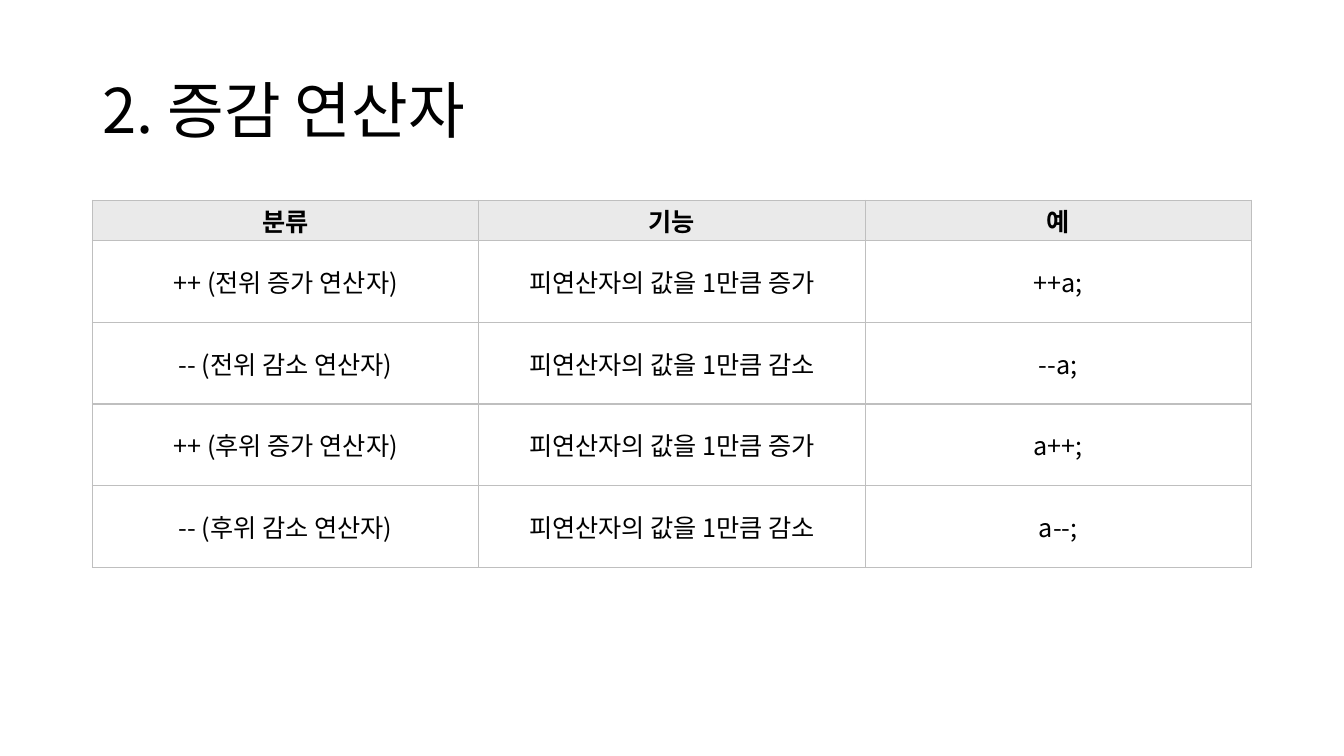
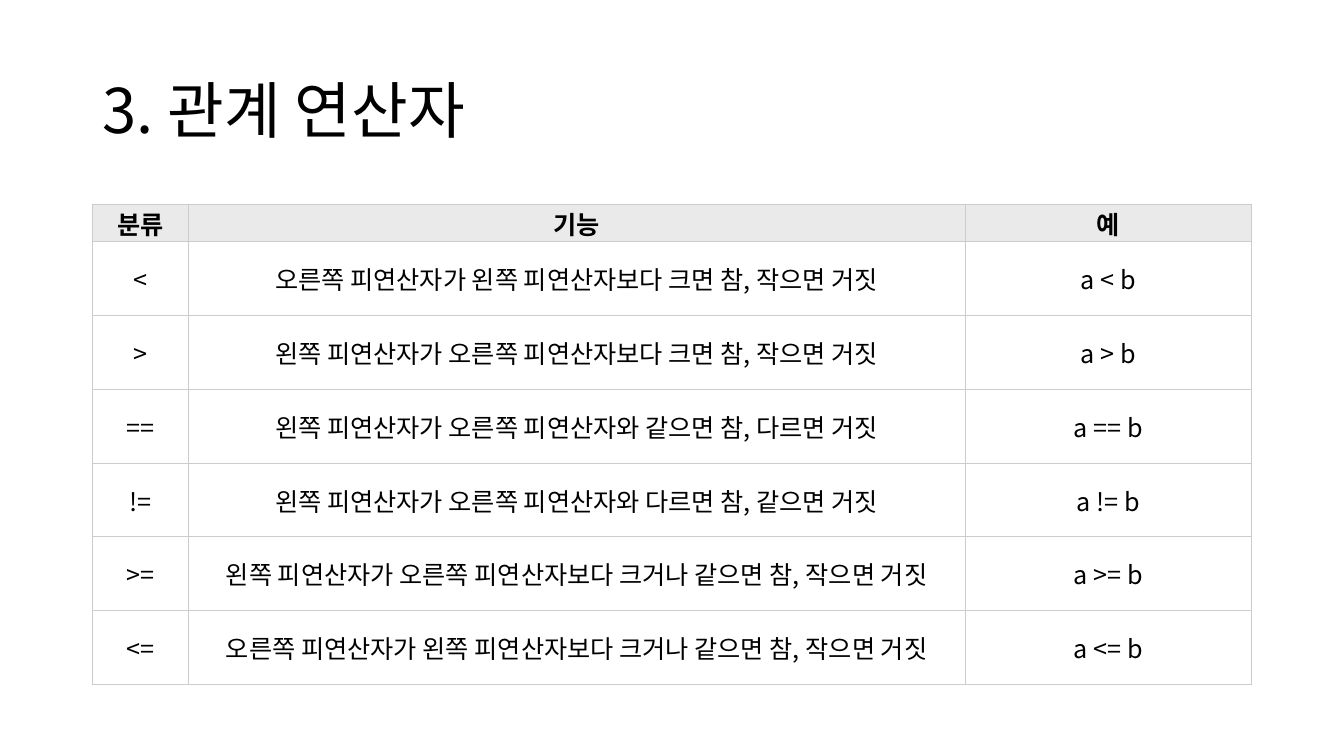
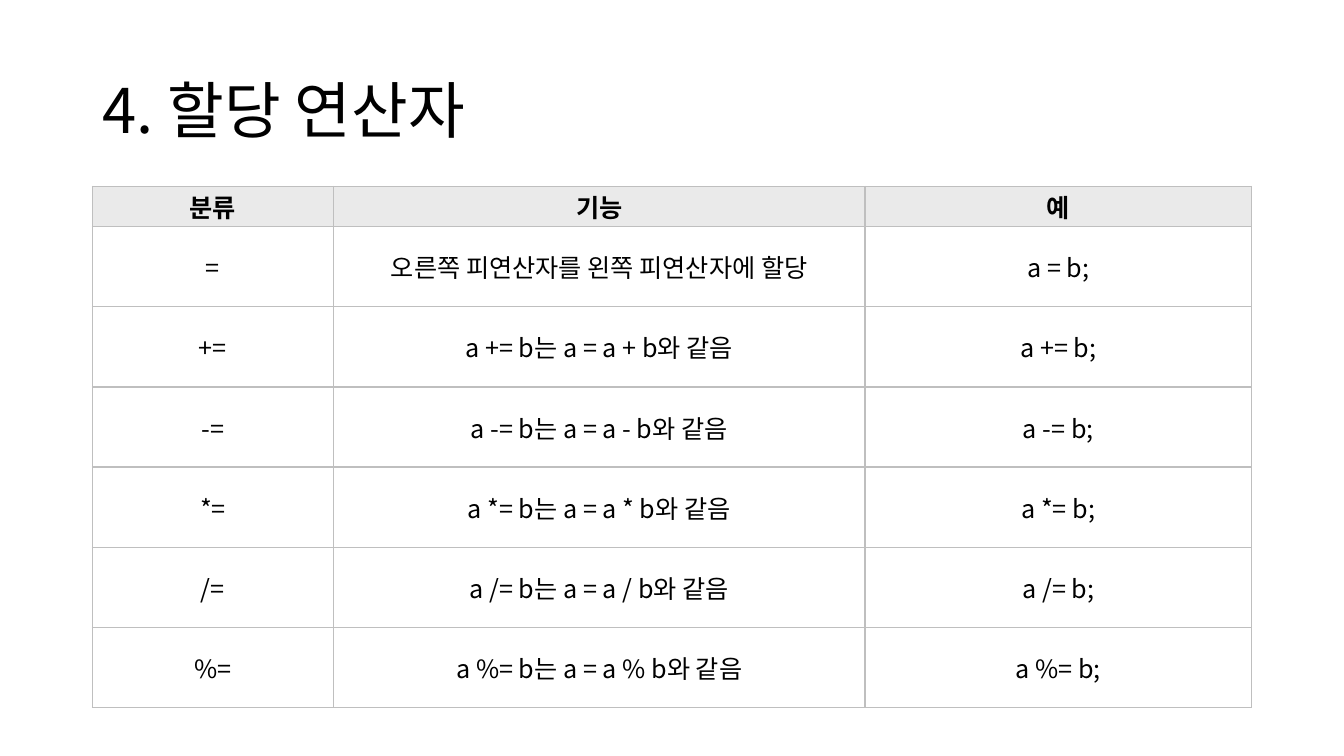
from lxml.etree import SubElement
from pptx import Presentation
from pptx.dml.color import RGBColor
from pptx.enum.text import MSO_ANCHOR, MSO_AUTO_SIZE, PP_ALIGN
from pptx.oxml.ns import qn
from pptx.util import Cm, Pt

FONT = "Noto Sans CJK KR"
COLORS = {"text": "000000", "header": "EAEAEA", "rule": "BFBFBF", "light_rule": "CCCCCC"}
LEFT, WIDTH = 2.33, 29.21
TITLE_BOX = (LEFT, 1.01, WIDTH, 3.68)
HEADINGS = ("분류", "기능", "예")


def write_text(frame, text, size=18, bold=False, align=PP_ALIGN.CENTER, spacing=None):
    paragraph = frame.paragraphs[0]
    paragraph.alignment = align
    paragraph.line_spacing = spacing
    run = paragraph.add_run()
    run.text = text
    run.font.size = Pt(size)
    run.font.bold = bold
    run.font.name = FONT
    run.font.color.rgb = RGBColor.from_string(COLORS["text"])
    SubElement(run.font._element, qn("a:ea"), typeface=FONT)


def draw_borders(cell, color, points):
    properties = cell._tc.get_or_add_tcPr()
    for side in ("a:lnL", "a:lnR", "a:lnT", "a:lnB"):
        border = SubElement(properties, qn(side), w=str(Pt(points)))
        SubElement(SubElement(border, qn("a:solidFill")), qn("a:srgbClr"), val=color)


def place_title(slide, text, box):
    title = slide.shapes.title
    title.left, title.top, title.width, title.height = (Cm(length) for length in box)
    frame = title.text_frame
    frame.auto_size = MSO_AUTO_SIZE.NONE
    frame.vertical_anchor = MSO_ANCHOR.MIDDLE
    write_text(frame, text, size=44, align=PP_ALIGN.LEFT, spacing=0.9)


def format_cell(cell, text, is_header, rule):
    cell.margin_left = cell.margin_right = cell.margin_top = cell.margin_bottom = 0
    cell.vertical_anchor = MSO_ANCHOR.MIDDLE
    draw_borders(cell, *rule)
    if is_header:
        cell.fill.solid()
        cell.fill.fore_color.rgb = RGBColor.from_string(COLORS["header"])
    else:
        cell.fill.background()
    write_text(cell.text_frame, text, bold=is_header)


def place_operators(slide, operators, left, top, widths, header_height, row_height, rule):
    rows = [HEADINGS, *operators]
    heights = [header_height] + [row_height] * len(operators)
    table = slide.shapes.add_table(
        len(rows), len(widths), Cm(left), Cm(top), Cm(sum(widths)), Cm(sum(heights))
    ).table
    table.first_row = table.horz_banding = False
    for column, width in zip(table.columns, widths):
        column.width = Cm(width)
    for index, (row, height, texts) in enumerate(zip(table.rows, heights, rows)):
        row.height = Cm(height)
        for cell, text in zip(row.cells, texts):
            format_cell(cell, text, index == 0, rule)


def add_operator_slide(deck, title, operators, **layout):
    slide = deck.slides.add_slide(deck.slide_layouts[5])
    place_title(slide, title, TITLE_BOX)
    place_operators(slide, operators, LEFT, **layout)


INCREMENTS = [
    ("++ (전위 증가 연산자)", "피연산자의 값을 1만큼 증가", "++a;"),
    ("-- (전위 감소 연산자)", "피연산자의 값을 1만큼 감소", "--a;"),
    ("++ (후위 증가 연산자)", "피연산자의 값을 1만큼 증가", "a++;"),
    ("-- (후위 감소 연산자)", "피연산자의 값을 1만큼 감소", "a--;"),
]
COMPARISONS = [
    (sign, meaning, f"a {sign} b")
    for sign, meaning in (
        ("<", "오른쪽 피연산자가 왼쪽 피연산자보다 크면 참, 작으면 거짓"),
        (">", "왼쪽 피연산자가 오른쪽 피연산자보다 크면 참, 작으면 거짓"),
        ("==", "왼쪽 피연산자가 오른쪽 피연산자와 같으면 참, 다르면 거짓"),
        ("!=", "왼쪽 피연산자가 오른쪽 피연산자와 다르면 참, 같으면 거짓"),
        (">=", "왼쪽 피연산자가 오른쪽 피연산자보다 크거나 같으면 참, 작으면 거짓"),
        ("<=", "오른쪽 피연산자가 왼쪽 피연산자보다 크거나 같으면 참, 작으면 거짓"),
    )
]
ASSIGNMENTS = [("=", "오른쪽 피연산자를 왼쪽 피연산자에 할당", "a = b;")] + [
    (f"{sign}=", f"a {sign}= b는 a = a {sign} b와 같음", f"a {sign}= b;") for sign in "+-*/%"
]

deck = Presentation()
deck.slide_width, deck.slide_height = Cm(33.87), Cm(19.05)
add_operator_slide(
    deck, "2. 증감 연산자", INCREMENTS, top=5.05, widths=[WIDTH / 3] * 3,
    header_height=1.01, row_height=2.06, rule=(COLORS["rule"], 1),
)
add_operator_slide(
    deck, "3. 관계 연산자", COMPARISONS, top=5.16, widths=[2.41, 19.58, 7.22],
    header_height=0.93, row_height=1.86, rule=(COLORS["light_rule"], 0.75),
)
add_operator_slide(
    deck, "4. 할당 연산자", ASSIGNMENTS, top=4.7, widths=[6.07, 13.4, 9.74],
    header_height=1.01, row_height=2.02, rule=(COLORS["rule"], 1),
)
deck.save("out.pptx")
